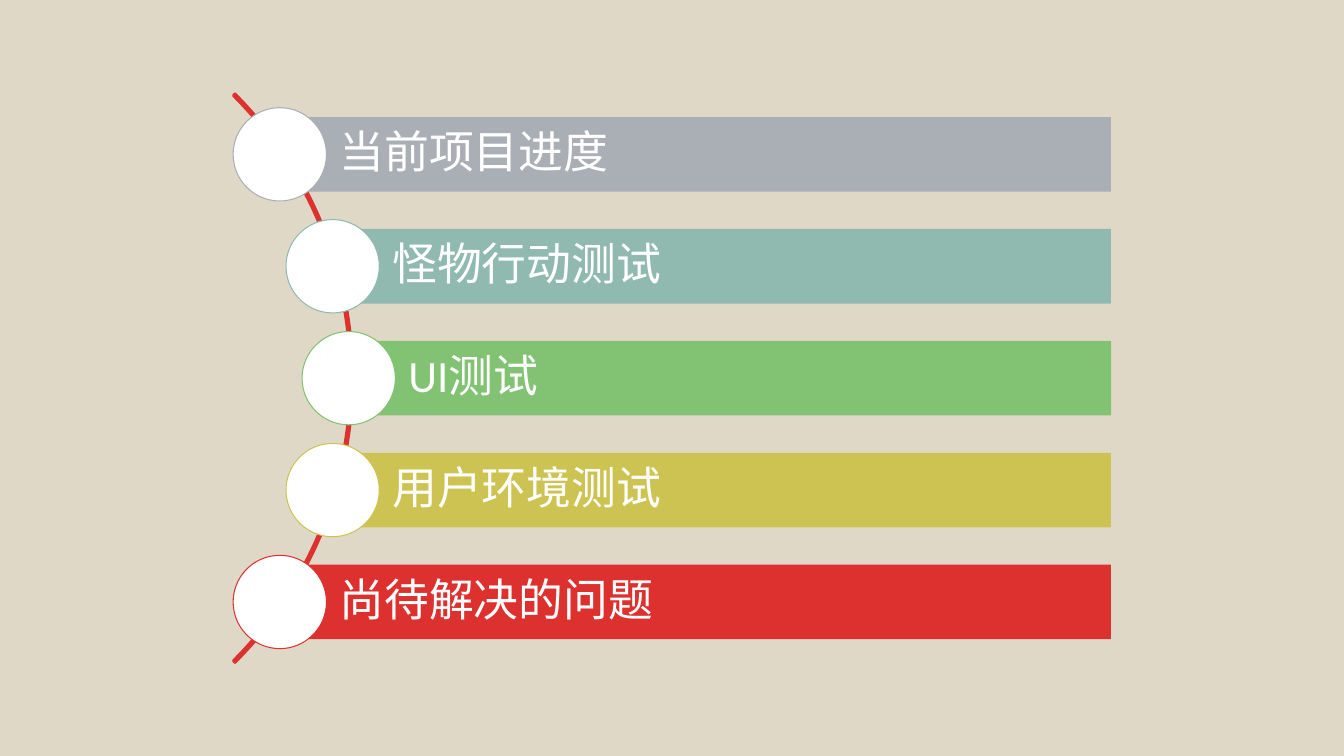
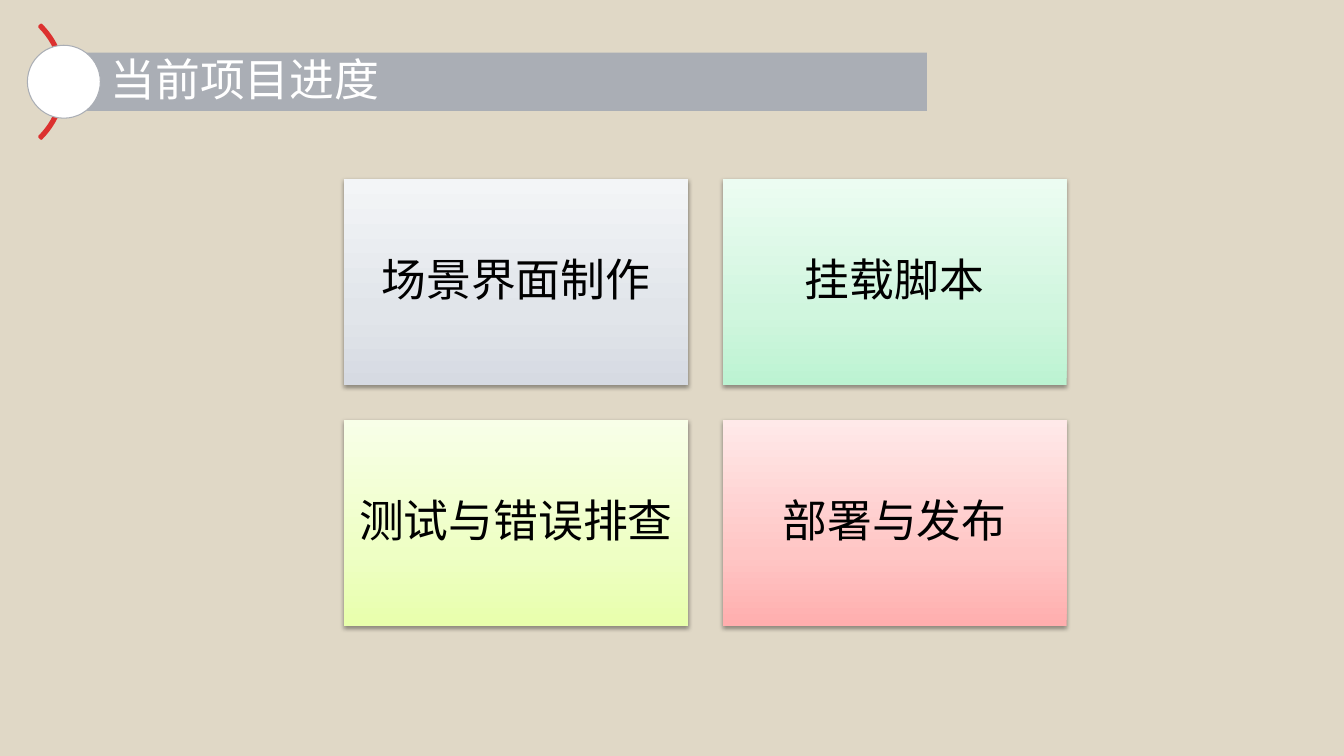
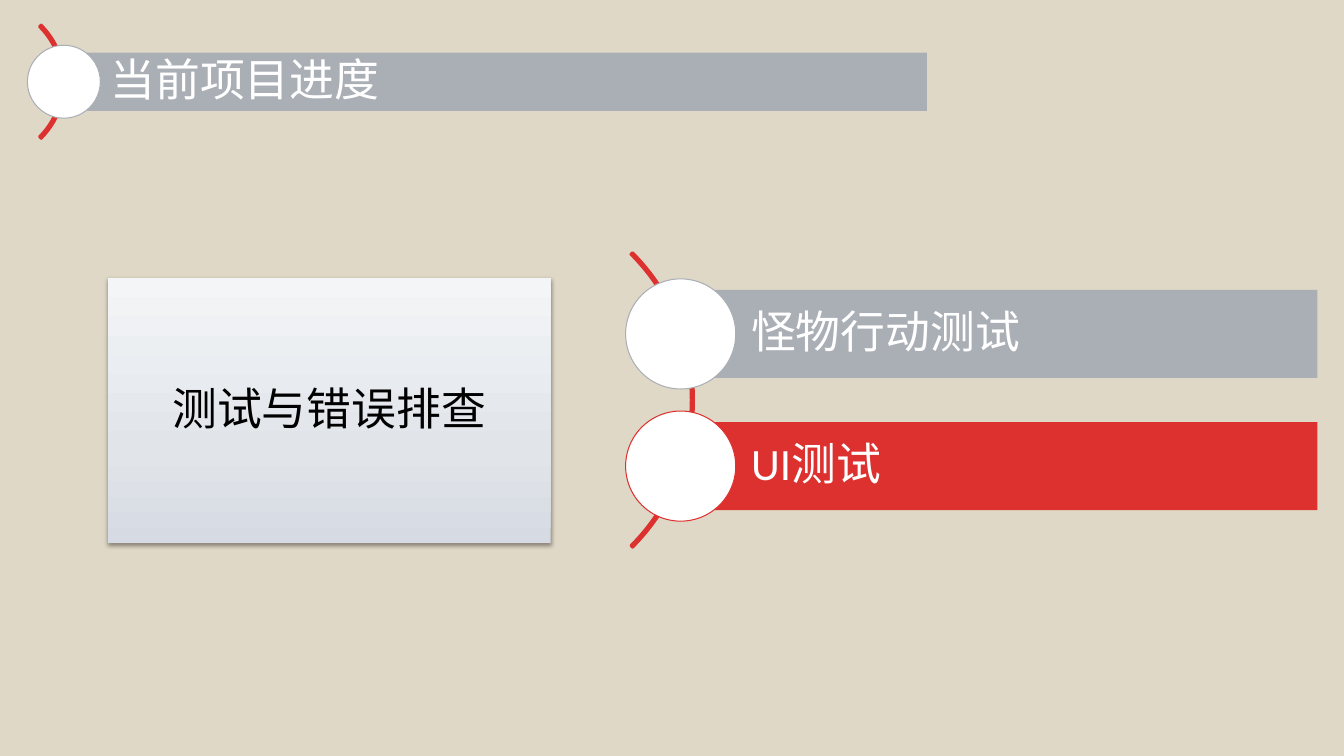
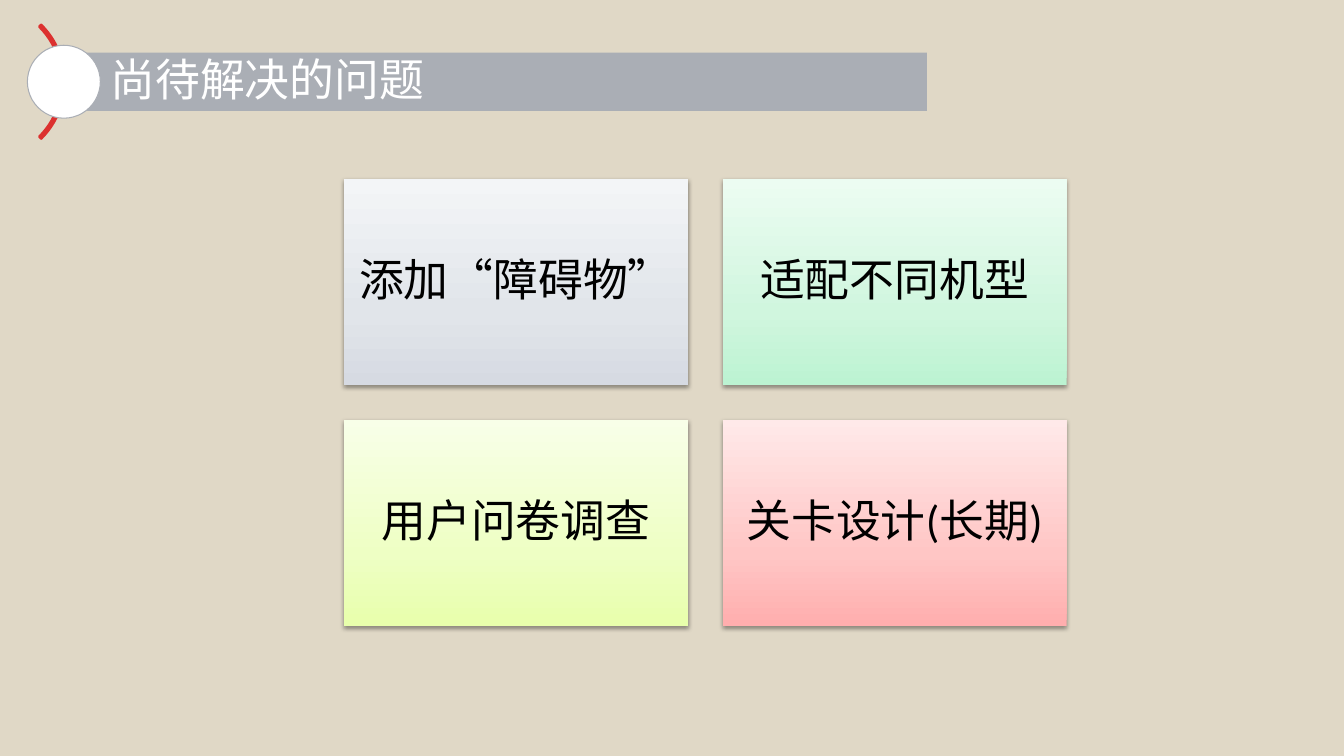
import copy
import math
import pptx
import pptx.dml.color
import pptx.enum.lang
import pptx.enum.shapes
import pptx.enum.text
import pptx.oxml
import pptx.util

Cm = pptx.util.Cm
Pt = pptx.util.Pt
RGB = pptx.dml.color.RGBColor
KIND = pptx.enum.shapes.MSO_SHAPE
ALIGN = pptx.enum.text.PP_ALIGN

SAND = RGB(0xE0, 0xD8, 0xC6)
WHITE = RGB(0xFF, 0xFF, 0xFF)
BLACK = RGB(0x00, 0x00, 0x00)
GREY = RGB(0xAA, 0xAE, 0xB5)
TEAL = RGB(0x90, 0xBA, 0xAF)
GREEN = RGB(0x81, 0xC2, 0x73)
GOLD = RGB(0xCD, 0xC3, 0x53)
RED = RGB(0xDC, 0x31, 0x2F)

MIST = [RGB(0xD6, 0xDA, 0xE2), RGB(0xE1, 0xE5, 0xEA), RGB(0xF3, 0xF5, 0xF7)]
MINT = [RGB(0xBC, 0xF3, 0xD2), RGB(0xD0, 0xF6, 0xDE), RGB(0xEC, 0xFC, 0xF2)]
LIME = [RGB(0xE8, 0xFF, 0xAC), RGB(0xEE, 0xFF, 0xC4), RGB(0xF8, 0xFF, 0xE8)]
ROSE = [RGB(0xFF, 0xAE, 0xAE), RGB(0xFF, 0xC6, 0xC5), RGB(0xFF, 0xE9, 0xE9)]
STOPS = [0, 0.35, 1]

FONT = {
    "name": "Calibri",
    "size": Pt(32),
    "language_id": pptx.enum.lang.MSO_LANGUAGE_ID.SIMPLIFIED_CHINESE,
}
SHADE = (
    '<a:outerShdw xmlns:a="http://schemas.openxmlformats.org/drawingml/2006/main"'
    ' blurRad="40000" dist="20000" dir="5400000" rotWithShape="0">'
    '<a:srgbClr val="000000"><a:alpha val="38000"/></a:srgbClr></a:outerShdw>'
)


def draw(page, kind, spot, fill=None, line=None, text="", ink=WHITE,
         align=ALIGN.LEFT, pads=(0, 0, 0, 0)):
    shape = page.shapes.add_shape(kind, *[Cm(part) for part in spot])
    shape.shadow.inherit = False
    if fill is None:
        shape.fill.background()
    else:
        shape.fill.solid()
        shape.fill.fore_color.rgb = fill
    if line is None:
        shape.line.fill.background()
    else:
        shape.line.color.rgb, shape.line.width = line
    if text:
        frame = shape.text_frame
        left, top, right, base = [Cm(pad) for pad in pads]
        look = {
            "word_wrap": True,
            "vertical_anchor": pptx.enum.text.MSO_ANCHOR.MIDDLE,
            "margin_left": left,
            "margin_top": top,
            "margin_right": right,
            "margin_bottom": base,
        }
        for key, value in look.items():
            setattr(frame, key, value)
        para = frame.paragraphs[0]
        para.alignment = align
        para.line_spacing = 0.9
        run = para.add_run()
        run.text = text
        for key, value in FONT.items():
            setattr(run.font, key, value)
        run.font.color.rgb = ink
    return shape


def fan(page, hub, ray, high, right, rows):
    mid, level = hub
    arc = draw(page, KIND.BLOCK_ARC,
               (mid - ray, level - ray, 2 * ray, 2 * ray), line=(RED, Pt(2)))
    for spot, value in enumerate((189, 27, 0.03 / ray)):
        arc.adjustments[spot] = value
    disc = 1.25 * high
    for row, (text, tint) in enumerate(rows):
        drop = (row - (len(rows) - 1) / 2) * 1.5 * high
        left = mid + math.sqrt((0.99 * ray) ** 2 - drop ** 2)
        y = level + drop
        draw(page, KIND.RECTANGLE, (left, y - high / 2, right - left, high),
             fill=tint, text=text, pads=(0.8 * high, 0.23, 0.23, 0.23))
        draw(page, KIND.OVAL, (left - disc / 2, y - disc / 2, disc, disc),
             fill=WHITE, line=(tint, Pt(0.75)))


deck = pptx.Presentation()
deck.slide_width = Cm(33.87)
deck.slide_height = Cm(19.05)
back = deck.slide_master.background.fill
back.solid()
back.fore_color.rgb = SAND
blank = deck.slide_layouts[6]

topics = [
    ("当前项目进度", GREY),
    ("怪物行动测试", TEAL),
    ("UI测试", GREEN),
    ("用户环境测试", GOLD),
    ("尚待解决的问题", RED),
]
fan(deck.slides.add_slide(blank), (-1.24, 9.53), 10.13, 1.88, 28, topics)

grid = (8.67, 4.51, 8.67, 5.2)
solo = (2.72, 7.01, 11.16, 6.68)
gap = 0.87
pages = [
    ("当前项目进度", grid,
     ["场景界面制作", "挂载脚本", "测试与错误排查", "部署与发布"], []),
    ("当前项目进度", solo, ["测试与错误排查"],
     [("怪物行动测试", GREY), ("UI测试", RED)]),
    ("尚待解决的问题", grid,
     ["添加“障碍物”", "适配不同机型", "用户问卷调查", "关卡设计(长期)"], []),
]
for title, (x, y, wide, high), cards, tests in pages:
    page = deck.slides.add_slide(blank)
    fan(page, (-0.39, 2.06), 2.02, 1.47, 23.36, [(title, GREY)])
    for spot, (text, tints) in enumerate(zip(cards, (MIST, MINT, LIME, ROSE))):
        row, col = divmod(spot, 2)
        card = draw(page, KIND.RECTANGLE,
                    (x + col * (wide + gap), y + row * (high + gap), wide, high),
                    text=text, ink=BLACK, align=ALIGN.CENTER, pads=[0.33] * 4)
        card.fill.gradient()
        card.fill.gradient_angle = 90
        ramp = card.element.spPr.find(".//" + pptx.oxml.ns.qn("a:gsLst"))
        ramp.append(copy.deepcopy(ramp[0]))
        for stop, place, tint in zip(card.fill.gradient_stops, STOPS, tints):
            stop.position = place
            stop.color.rgb = tint
        glow = card.element.spPr.find(pptx.oxml.ns.qn("a:effectLst"))
        glow.append(pptx.oxml.parse_xml(SHADE))
    if tests:
        fan(page, (12.23, 10.08), 5.25, 2.22, 33.2, tests)

deck.save("out.pptx")
